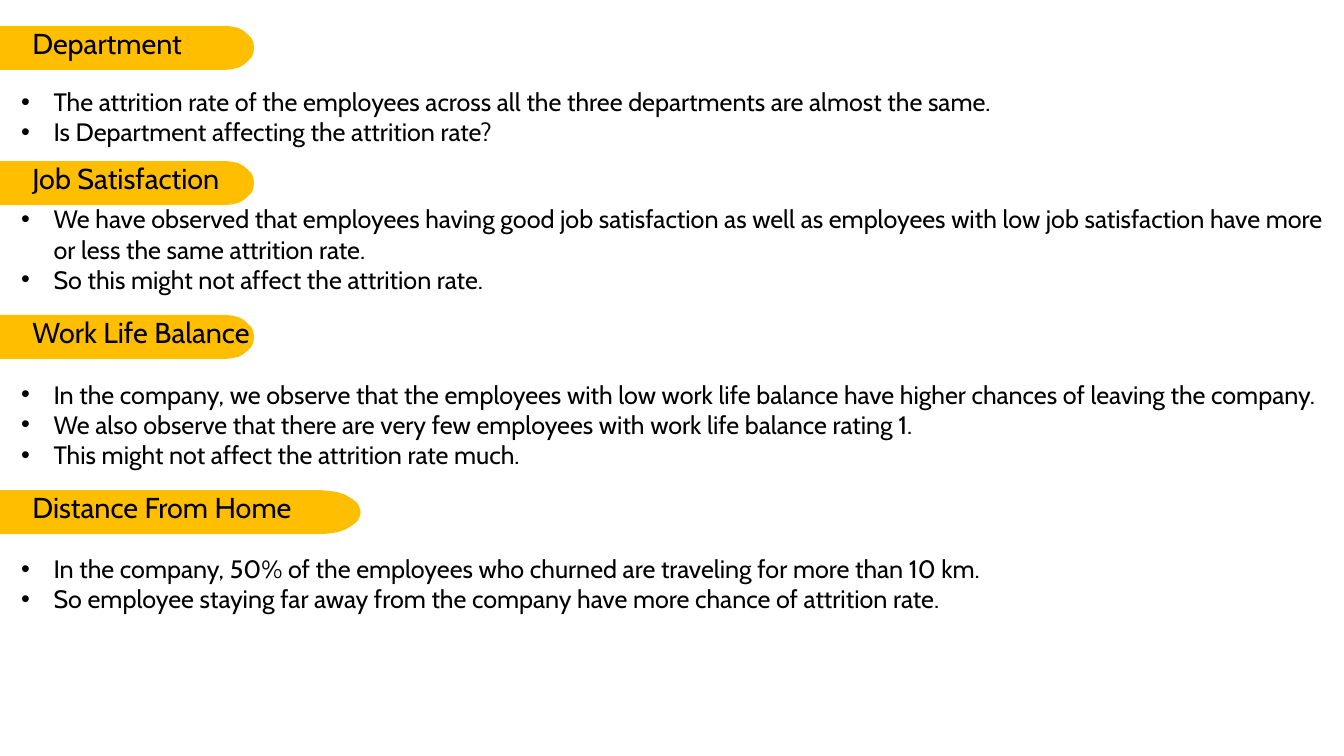
from dataclasses import dataclass
from math import cos, pi, sin

from pptx import Presentation
from pptx.dml.color import RGBColor
from pptx.enum.text import MSO_ANCHOR, MSO_AUTO_SIZE, PP_ALIGN
from pptx.oxml import parse_xml
from pptx.oxml.ns import nsdecls
from pptx.util import Emu, Pt

PX = 9144  # EMU per px, 100 px to the inch


@dataclass(frozen=True)
class Theme:
    font: str = "Cabin"
    ink: RGBColor = RGBColor(0x00, 0x00, 0x00)
    tab: RGBColor = RGBColor(0xFF, 0xBF, 0x00)
    heading_size: int = 32
    body_size: int = 28


THEME = Theme()

# Layout in px
SLIDE_WIDTH, SLIDE_HEIGHT = 2079, 1169
TAB_HEIGHT, CAP_STEPS = 68, 14
BODY_LEFT, BODY_WIDTH = 23, 2033
INDENT = 50

# Heading, tab top, tab width, cap radius, body top, body height, points
SECTIONS = [
    ("Department", 40, 393, 44, 129, 104, [
        "The attrition rate of the employees across all the three departments are almost the same.",
        "Is Department affecting the attrition rate?",
    ]),
    ("Job Satisfaction", 249, 393, 44, 310, 151, [
        "We have observed that employees having good job satisfaction as well as employees "
        "with low job satisfaction have more or less the same attrition rate.",
        "So this might not affect the attrition rate.",
    ]),
    ("Work Life Balance", 487, 393, 44, 581, 151, [
        "In the company, we observe that the employees with low work life balance have "
        "higher chances of leaving the company.",
        "We also observe that there are very few employees with work life balance rating 1.",
        "This might not affect the attrition rate much.",
    ]),
    ("Distance From Home", 758, 558, 63, 851, 104, [
        "In the company, 50% of the employees who churned are traveling for more than 10 km.",
        "So employee staying far away from the company have more chance of attrition rate.",
    ]),
]


def px(length):
    return Emu(length * PX)


def add_run(paragraph, text, size):
    run = paragraph.add_run()
    run.text = text
    run.font.name = THEME.font
    run.font.size = Pt(size)
    run.font.color.rgb = THEME.ink


def add_bullet(paragraph):
    props = paragraph._p.get_or_add_pPr()
    props.set("marL", str(px(INDENT)))
    props.set("indent", str(px(-INDENT)))
    props.append(parse_xml(f'<a:buFont {nsdecls("a")} typeface="Arial"/>'))
    props.append(parse_xml(f'<a:buChar {nsdecls("a")} char="•"/>'))


def add_heading_tab(slide, heading, top, width, cap_radius):
    # Straight left edge, half-ellipse cap on the right
    half = TAB_HEIGHT / 2
    cap_left = width - cap_radius
    angles = [pi / 2 - pi * step / CAP_STEPS for step in range(CAP_STEPS + 1)]
    cap = [(round(cap_left + cap_radius * cos(a)), round(top + half - half * sin(a)))
           for a in angles]
    outline = slide.shapes.build_freeform(0, top, scale=PX)
    outline.add_line_segments(cap + [(0, top + TAB_HEIGHT)], close=True)
    tab = outline.convert_to_shape()
    tab.shadow.inherit = False
    tab.fill.solid()
    tab.fill.fore_color.rgb = THEME.tab
    tab.line.fill.background()

    frame = tab.text_frame
    frame.word_wrap = True
    frame.vertical_anchor = MSO_ANCHOR.TOP
    frame.margin_left = px(INDENT)
    frame.margin_top = frame.margin_right = frame.margin_bottom = 0
    paragraph = frame.paragraphs[0]
    paragraph.alignment = PP_ALIGN.LEFT
    add_run(paragraph, heading, THEME.heading_size)


def add_points(slide, top, height, points):
    body = slide.shapes.add_textbox(px(BODY_LEFT), px(top), px(BODY_WIDTH), px(height))
    frame = body.text_frame
    frame.word_wrap = True
    frame.auto_size = MSO_AUTO_SIZE.SHAPE_TO_FIT_TEXT
    for index, point in enumerate(points):
        paragraph = frame.add_paragraph() if index else frame.paragraphs[0]
        add_bullet(paragraph)
        add_run(paragraph, point, THEME.body_size)


def main():
    deck = Presentation()
    deck.slide_width, deck.slide_height = px(SLIDE_WIDTH), px(SLIDE_HEIGHT)
    slide = deck.slides.add_slide(deck.slide_layouts[6])

    # Each finding: heading tab, then its points
    for heading, tab_top, tab_width, cap_radius, body_top, body_height, points in SECTIONS:
        add_heading_tab(slide, heading, tab_top, tab_width, cap_radius)
        add_points(slide, body_top, body_height, points)

    deck.save("out.pptx")


if __name__ == "__main__":
    main()
